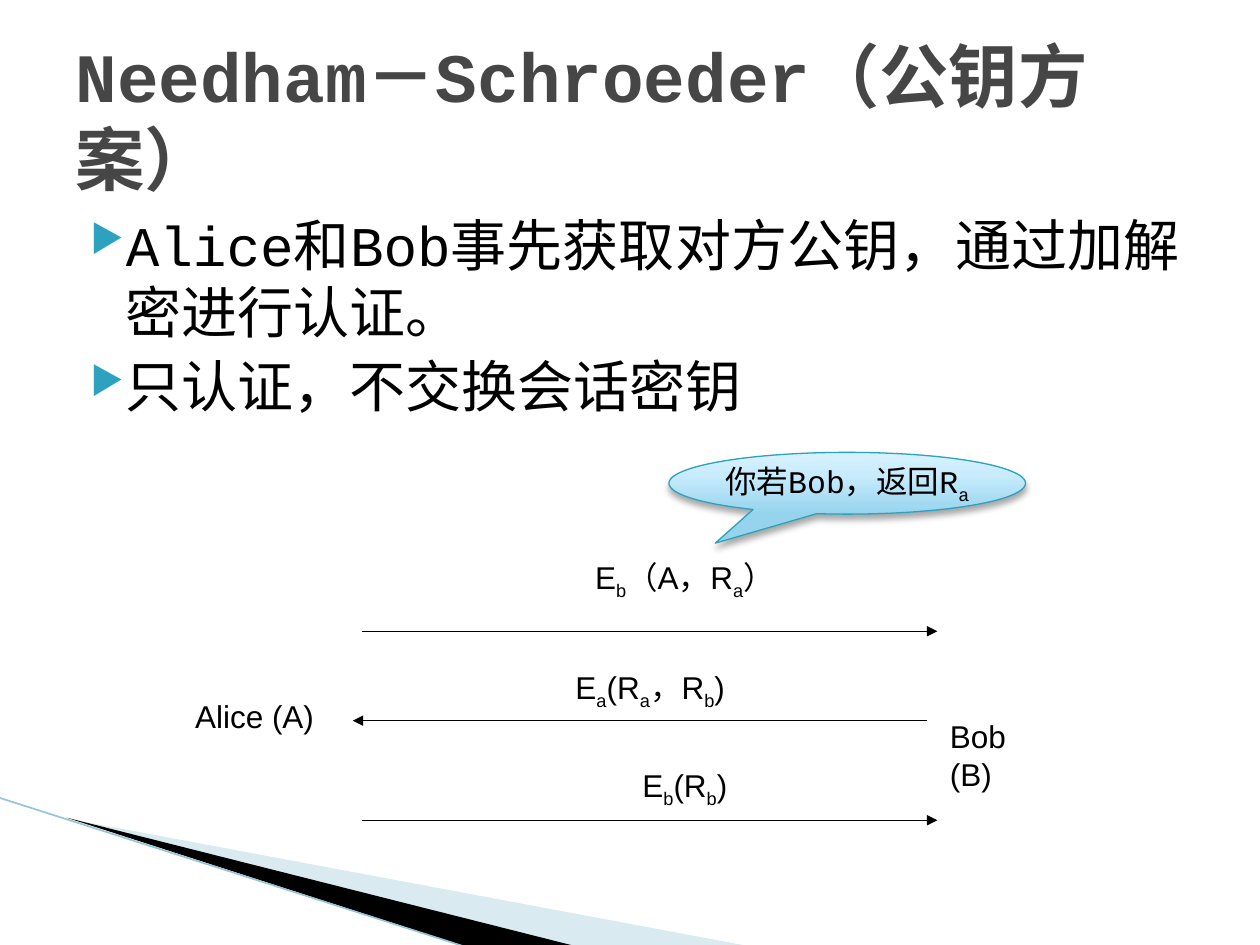
from lxml.etree import SubElement
from pptx import Presentation
from pptx.dml.color import RGBColor
from pptx.enum.lang import MSO_LANGUAGE_ID
from pptx.enum.shapes import MSO_CONNECTOR, MSO_SHAPE
from pptx.enum.text import MSO_ANCHOR, MSO_AUTO_SIZE, PP_ALIGN
from pptx.oxml import parse_xml
from pptx.oxml.ns import nsdecls, qn
from pptx.util import Inches, Pt

COLORS = {
    "title": "464646",
    "text": "000000",
    "accent": "2DA2BF",
    "pale": "A0CBDC",
    "edge": "97C5D8",
}
CALLOUT_STOPS = [(0, "96D4EE"), (65, "C9ECFC"), (100, "D7F2FF")]
COLUMNS, ROWS = 100, 75
MONO, SANS = "Courier New", "Arial"


class SlideBuilder:
    def __init__(self, presentation):
        self.column = presentation.slide_width / COLUMNS
        self.row = presentation.slide_height / ROWS
        self.slide = presentation.slides.add_slide(presentation.slide_layouts[5])
        self.shapes = self.slide.shapes

    def point(self, x, y):
        return round(x * self.column), round(y * self.row)

    def box(self, left, top, width, height):
        return *self.point(left, top), *self.point(width, height)

    def format_run(self, run, size, font, color="text", bold=False):
        run.font.size = Pt(size)
        run.font.name = font
        run.font.bold = bold
        run.font.color.rgb = RGBColor.from_string(COLORS[color])
        run.font.language_id = MSO_LANGUAGE_ID.SIMPLIFIED_CHINESE

    def add_formula(self, paragraph, text, size, font):
        for index, part in enumerate(text.split("_")):
            if part:
                run = paragraph.add_run()
                run.text = part
                self.format_run(run, size, font)
                if index % 2:
                    run.font._element.set("baseline", "-25000")

    def title(self, text, *box):
        shape = self.shapes.title
        shape.left, shape.top, shape.width, shape.height = self.box(*box)
        frame = shape.text_frame
        frame.text = text
        frame.auto_size = MSO_AUTO_SIZE.NONE
        frame.vertical_anchor = MSO_ANCHOR.MIDDLE
        frame.paragraphs[0].alignment = PP_ALIGN.LEFT
        self.format_run(frame.paragraphs[0].runs[0], 39.6, MONO, "title", True)

    def bullets(self, lines, *box):
        frame = self.shapes.add_textbox(*self.box(*box)).text_frame
        frame.word_wrap = True
        frame.text = "\n".join(lines)
        for index, paragraph in enumerate(frame.paragraphs):
            properties = paragraph._p.get_or_add_pPr()
            properties.set("marL", str(Inches(0.4)))
            properties.set("indent", str(Inches(-0.28)))
            color = SubElement(properties, qn("a:buClr"))
            SubElement(color, qn("a:srgbClr"), val=COLORS["accent"])
            SubElement(properties, qn("a:buSzPct"), val="68000")
            SubElement(properties, qn("a:buChar"), char="▶")
            paragraph.space_before = Pt(4 if index else 0)
            self.format_run(paragraph.runs[0], 32, MONO)

    def label(self, text, left, top, width, alignment=PP_ALIGN.LEFT):
        shape = self.shapes.add_textbox(*self.box(left, top, width, 4))
        frame = shape.text_frame
        frame.word_wrap = True
        frame.auto_size = MSO_AUTO_SIZE.SHAPE_TO_FIT_TEXT
        frame.paragraphs[0].alignment = alignment
        self.add_formula(frame.paragraphs[0], text, 18, SANS)

    def line(self, start, end, color="text", width=0.75, arrow=False):
        connector = self.shapes.add_connector(
            MSO_CONNECTOR.STRAIGHT, *self.point(*start), *self.point(*end))
        connector.line.color.rgb = RGBColor.from_string(COLORS[color])
        connector.line.width = Pt(width)
        if arrow:
            SubElement(connector.line._get_or_add_ln(), qn("a:tailEnd"), type="triangle")
        SubElement(connector._element.spPr, qn("a:effectLst"))

    def wedge(self, points, color, alpha=100):
        start, *others = [self.point(*point) for point in points]
        builder = self.shapes.build_freeform(*start)
        builder.add_line_segments(others, close=True)
        shape = builder.convert_to_shape()
        shape.shadow.inherit = False
        shape.fill.solid()
        shape.fill.fore_color.rgb = RGBColor.from_string(COLORS[color])
        shape.line.fill.background()
        if alpha < 100:
            fill_color = shape._element.spPr.find(".//" + qn("a:srgbClr"))
            SubElement(fill_color, qn("a:alpha"), val=str(alpha * 1000))

    def callout(self, text, *box):
        shape = self.shapes.add_shape(MSO_SHAPE.OVAL_CALLOUT, *self.box(*box))
        shape.adjustments[0], shape.adjustments[1] = -0.37, 0.97
        shape.line.color.rgb = RGBColor.from_string(COLORS["accent"])
        shape.line.width = Pt(0.75)
        stops = "".join(
            f'<a:gs pos="{position * 1000}"><a:srgbClr val="{color}"/></a:gs>'
            for position, color in CALLOUT_STOPS)
        properties = shape._element.spPr
        properties.find(qn("a:prstGeom")).addnext(parse_xml(
            f'<a:gradFill {nsdecls("a")} rotWithShape="1"><a:gsLst>{stops}</a:gsLst>'
            '<a:lin ang="16200000" scaled="0"/></a:gradFill>'))
        properties.append(parse_xml(
            f'<a:effectLst {nsdecls("a")}><a:outerShdw blurRad="{Pt(4)}" dist="{Pt(3)}" '
            'dir="5400000" rotWithShape="0"><a:srgbClr val="000000">'
            '<a:alpha val="35000"/></a:srgbClr></a:outerShdw></a:effectLst>'))
        frame = shape.text_frame
        frame.word_wrap = True
        frame.margin_left = frame.margin_right = 0
        frame.vertical_anchor = MSO_ANCHOR.MIDDLE
        frame.paragraphs[0].alignment = PP_ALIGN.CENTER
        self.add_formula(frame.paragraphs[0], text, 18, MONO)


def main():
    presentation = Presentation()
    presentation.slide_width, presentation.slide_height = Inches(10), Inches(7.5)
    builder = SlideBuilder(presentation)

    builder.wedge([(5.5, 65), (59.5, 75.1), (45.6, 75.1)], "pale", 40)
    builder.wedge([(5.3, 64.9), (45.7, 75.1), (37.2, 75.2)], "text")
    builder.line((-0.1, 63.3), (37.1, 75.2), "edge", 0.95)

    builder.title("Needham－Schroeder（公钥方案）", 5, 3, 90, 12.5)
    builder.bullets(
        ["Alice和Bob事先获取对方公钥，通过加解密进行认证。", "只认证，不交换会话密钥"],
        5, 16.2, 90, 49.5)

    builder.label("Alice (A)", 14.5, 54.8, 12.6)
    builder.label("Bob (B)", 74.4, 56.4, 10.2)

    messages = [
        ("E_b_（A，R_a_）", 28.7, 74.4, 50.1, (37.4, 43.8, 33.9)),
        ("E_a_(R_a_，R_b_)", 73.6, 28, 57.2, (32.7, 52.5, 37.8)),
        ("E_b_(R_b_)", 28.7, 74.4, 65.1, (37.4, 60.3, 33.9)),
    ]
    for text, start, end, row, place in messages:
        builder.line((start, row), (end, row), arrow=True)
        builder.label(text, *place, PP_ALIGN.CENTER)

    builder.callout("你若Bob，返回R_a_", 53.1, 35.9, 28.3, 4.9)
    presentation.save("out.pptx")


if __name__ == "__main__":
    main()
